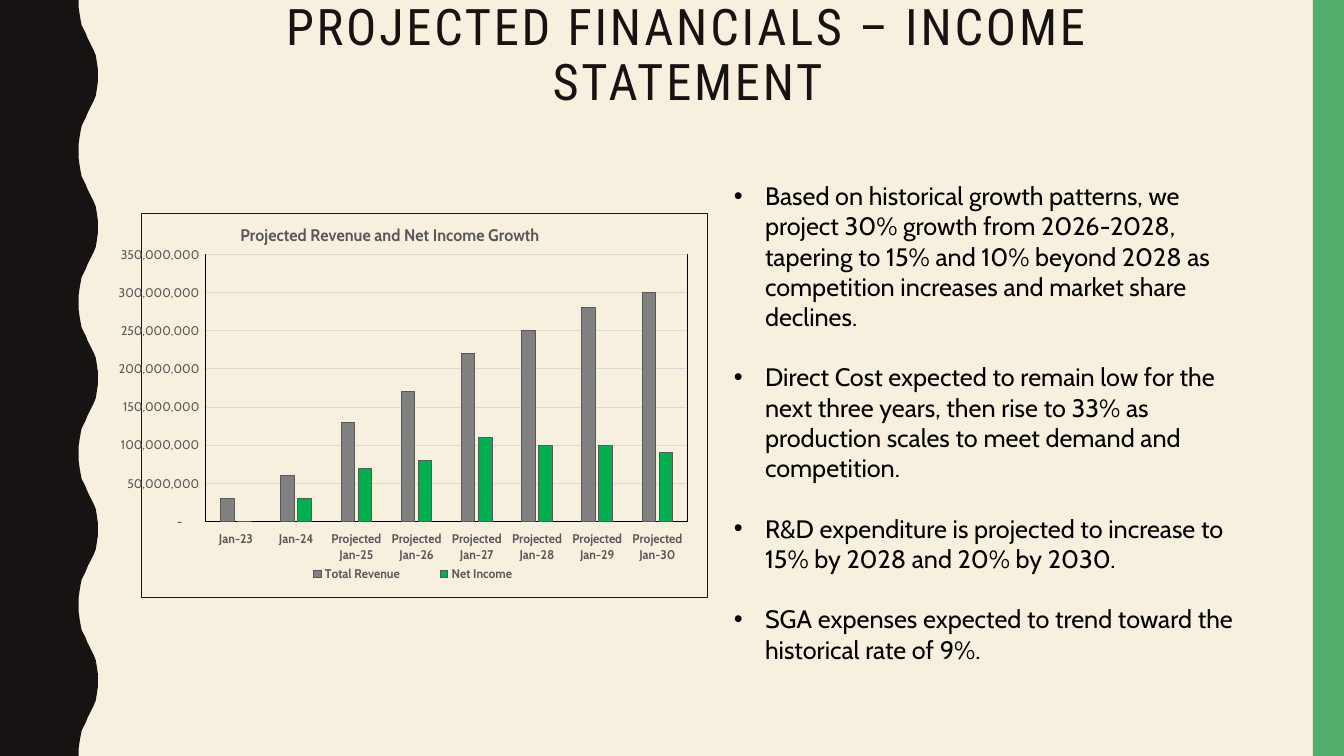
from pptx import Presentation
from pptx.chart.data import CategoryChartData
from pptx.dml.color import RGBColor
from pptx.enum.chart import XL_CHART_TYPE as ChartType, XL_LEGEND_POSITION as LegendPosition
from pptx.enum.chart import XL_TICK_LABEL_POSITION as LabelPosition, XL_TICK_MARK as TickMark
from pptx.enum.shapes import MSO_SHAPE as ShapeType
from pptx.enum.text import MSO_ANCHOR as Anchor, PP_ALIGN as Align
from pptx.oxml import parse_xml
from pptx.oxml.ns import nsdecls, qn
from pptx.util import Inches, Pt

CREAM = RGBColor(0xF7, 0xF0, 0xDF)
INK = RGBColor(0x17, 0x13, 0x12)
LEAF = RGBColor(0x53, 0xAE, 0x6E)
BLACK = RGBColor(0, 0, 0)
SLATE = RGBColor(0x59, 0x59, 0x59)
GRID = RGBColor(0xD9, 0xD9, 0xD9)
GREY = RGBColor(0x80, 0x80, 0x80)
GREEN = RGBColor(0x00, 0xB0, 0x50)

HEADING_FONT = "Roboto Condensed"
BODY_FONT = "Cabin"
PERIOD = 1.5
HALF_WAVE = [
    (0.78, 0), (0.78, 0.07), (0.79, 0.14), (0.8, 0.2), (0.81, 0.25),
    (0.83, 0.29), (0.85, 0.33), (0.87, 0.38), (0.89, 0.42), (0.91, 0.46),
    (0.93, 0.5), (0.95, 0.55), (0.96, 0.61), (0.97, 0.68), (0.97, 0.75),
]

YEARS = ["Jan-23", "Jan-24"] + [f"Projected Jan-{year}" for year in range(25, 31)]
MILLION = 1_000_000
SERIES = [
    ("Total Revenue", [30, 60, 130, 170, 220, 250, 280, 300], GREY),
    ("Net Income", [0, 30, 70, 80, 110, 100, 100, 90], GREEN),
]
POINTS = [
    "Based on historical growth patterns, we project 30% growth from 2026-2028, "
    "tapering to 15% and 10% beyond 2028 as competition increases and market share declines.",
    "Direct Cost expected to remain low for the next three years, then rise to 33% "
    "as production scales to meet demand and competition.",
    "R&D expenditure is projected to increase to 15% by 2028 and 20% by 2030.",
    "SGA expenses expected to trend toward the historical rate of 9%.",
]


def paint(shape, color):
    shape.shadow.inherit = False
    shape.fill.solid()
    shape.fill.fore_color.rgb = color
    shape.line.fill.background()


def add_wave(page):
    wave = HALF_WAVE + [(x, PERIOD - y) for x, y in reversed(HALF_WAVE[:-1])]
    edge = [(x, y + PERIOD * turn) for turn in range(5) for x, y in wave]
    outline = edge + [(0, 7.5)]
    builder = page.shapes.build_freeform(0, 0)
    builder.add_line_segments([(Inches(x), Inches(y)) for x, y in outline], close=True)
    paint(builder.convert_to_shape(), INK)


def add_bar(page):
    bar = page.shapes.add_shape(
        ShapeType.RECTANGLE, Inches(13.02), 0, Inches(0.31), Inches(7.5))
    paint(bar, LEAF)


def set_font(font, name, size, color, bold=False):
    font.name = name
    font.size = Pt(size)
    font.color.rgb = color
    font.bold = bold


def add_text_box(page, left, top, width, height):
    box = page.shapes.add_textbox(Inches(left), Inches(top), Inches(width), Inches(height))
    box.text_frame.word_wrap = True
    return box.text_frame


def add_title(page):
    frame = add_text_box(page, 1.36, 0.15, 10.92, 1)
    frame.vertical_anchor = Anchor.BOTTOM
    para = frame.paragraphs[0]
    para.text = "PROJECTED FINANCIALS – INCOME STATEMENT"
    para.alignment = Align.CENTER
    para.line_spacing = 0.9
    span = para.runs[0]
    set_font(span.font, HEADING_FONT, 36, INK)
    span.font._element.set("spc", "200")


def add_points(page):
    frame = add_text_box(page, 7.18, 1.74, 5.33, 4.64)
    frame.text = "\n".join(POINTS)
    for index, para in enumerate(frame.paragraphs):
        if index:
            para.space_before = Pt(21.6)
        set_font(para.runs[0].font, BODY_FONT, 18, BLACK)
        properties = para._p.get_or_add_pPr()
        properties.set("marL", str(Inches(0.31)))
        properties.set("indent", str(Inches(-0.31)))
        properties.append(parse_xml(f'<a:buFont {nsdecls("a")} typeface="Arial"/>'))
        properties.append(parse_xml(f'<a:buChar {nsdecls("a")} char="•"/>'))


def place(element, x, y, width=None, height=None, inner=False):
    for old in element.findall(qn("c:layout")):
        element.remove(old)
    target = '<c:layoutTarget val="inner"/>' if inner else ""
    modes = '<c:xMode val="edge"/><c:yMode val="edge"/>'
    sizes = f'<c:w val="{width}"/><c:h val="{height}"/>' if width else ""
    layout = parse_xml(
        f'<c:layout {nsdecls("c")}><c:manualLayout>{target}{modes}'
        f'<c:x val="{x}"/><c:y val="{y}"/>{sizes}</c:manualLayout></c:layout>')
    overlay = element.find(qn("c:overlay"))
    if overlay is None:
        element.insert(0, layout)
    else:
        overlay.addprevious(layout)


def border(color):
    return parse_xml(
        f'<c:spPr {nsdecls("c", "a")}><a:noFill/><a:ln w="{Pt(0.75)}"><a:solidFill>'
        f'<a:srgbClr val="{color}"/></a:solidFill></a:ln></c:spPr>')


def set_line(line, color):
    line.color.rgb = color
    line.width = Pt(0.75)


def style_axes(chart):
    years, amounts = chart.category_axis, chart.value_axis
    for axis in (years, amounts):
        axis.major_tick_mark = axis.minor_tick_mark = TickMark.NONE
        set_font(axis.tick_labels.font, BODY_FONT, 9, SLATE, axis is years)
    years.tick_label_position = LabelPosition.LOW
    set_line(years.format.line, BLACK)
    amounts.minimum_scale = 0
    amounts.maximum_scale = 350 * MILLION
    amounts.major_unit = 50 * MILLION
    amounts.format.line.fill.background()
    set_line(amounts.major_gridlines.format.line, GRID)
    amounts.tick_labels.number_format = '_(* #,##0_);_(* \\(#,##0\\);_(* "-"??_);_(@_)'
    amounts.tick_labels.number_format_is_linked = False


def add_growth_chart(page):
    data = CategoryChartData()
    data.categories = YEARS
    for name, millions, color in SERIES:
        data.add_series(name, [value * MILLION for value in millions])
    chart = page.shapes.add_chart(
        ChartType.COLUMN_CLUSTERED, Inches(1.15), Inches(2.11),
        Inches(5.87), Inches(3.82), data).chart
    set_font(chart.font, BODY_FONT, 9, BLACK)

    chart.has_title = True
    heading = chart.chart_title.text_frame
    heading.text = "Projected Revenue and Net Income Growth"
    set_font(heading.paragraphs[0].runs[0].font, BODY_FONT, 12, SLATE, True)
    place(chart.chart_title._element, 0.17, 0.02)

    chart.has_legend = True
    chart.legend.position = LegendPosition.BOTTOM
    chart.legend.include_in_layout = False
    set_font(chart.legend.font, BODY_FONT, 9, SLATE, True)
    place(chart.legend._element, 0.24, 0.9, 0.48, 0.08)

    plot = chart.plots[0]
    plot.vary_by_categories = False
    plot.gap_width = 219
    plot.overlap = -27
    for series, (name, millions, color) in zip(plot.series, SERIES):
        series.format.fill.solid()
        series.format.fill.fore_color.rgb = color
        set_line(series.format.line, SLATE)
    style_axes(chart)

    chart_body = chart.element.find(qn("c:chart"))
    plot_area = chart_body.find(qn("c:plotArea"))
    place(plot_area, 0.114, 0.108, 0.851, 0.695, inner=True)
    plot_area.append(border(BLACK))
    chart_body.addnext(border(INK))


def main():
    deck = Presentation()
    deck.slide_width = Inches(13.33)
    deck.slide_height = Inches(7.5)
    page = deck.slides.add_slide(deck.slide_layouts[6])
    page.background.fill.solid()
    page.background.fill.fore_color.rgb = CREAM
    add_wave(page)
    add_bar(page)
    add_title(page)
    add_growth_chart(page)
    add_points(page)
    deck.save("out.pptx")


if __name__ == "__main__":
    main()
